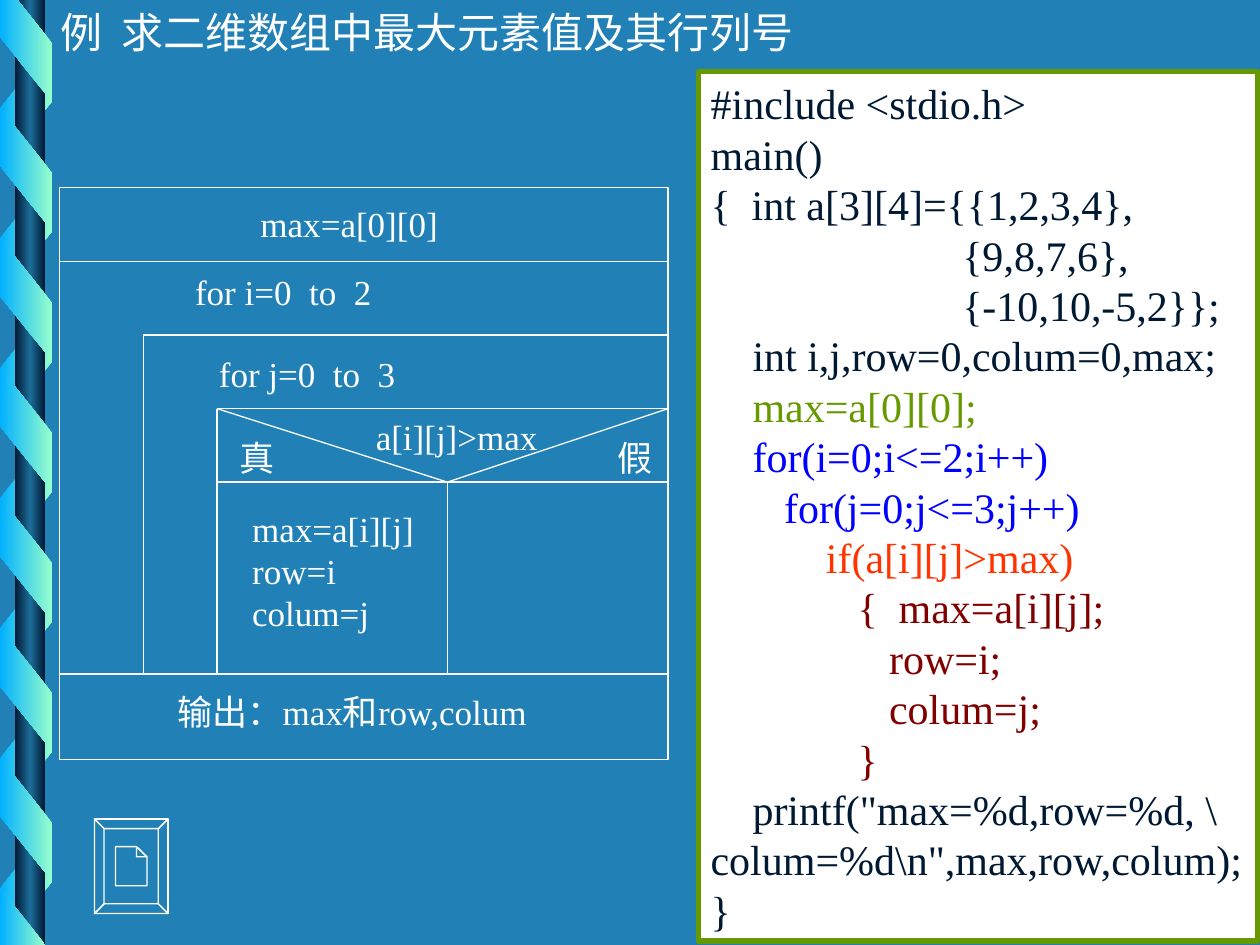
from lxml.etree import SubElement as Sub
from pptx import Presentation
from pptx.dml.color import RGBColor as RGB
from pptx.enum.shapes import MSO_CONNECTOR as Link, MSO_SHAPE as Kind
from pptx.enum.text import MSO_ANCHOR as Anchor, MSO_AUTO_SIZE as Fit, PP_ALIGN as Align
from pptx.oxml.ns import qn
from pptx.util import Pt

HUES = {
    "back": "2181B7", "white": "FFFFFF", "navy": "001932", "mid": "1C6D9A",
    "sky": "01B0FF", "mint": "99FFCC", "green": "669900", "blue": "0000FF",
    "red": "FF3300", "brown": "800000",
}
FACE = "Times New Roman"
TITLE = "例\t求二维数组中最大元素值及其行列号"

CODE = [
    ("navy", "#include <stdio.h>"),
    ("navy", "main()"),
    ("navy", "{  int a[3][4]={{1,2,3,4},"),
    ("navy", "                        {9,8,7,6},"),
    ("navy", "                        {-10,10,-5,2}};"),
    ("navy", "    int i,j,row=0,colum=0,max;"),
    ("green", "    max=a[0][0];"),
    ("blue", "    for(i=0;i<=2;i++)"),
    ("blue", "       for(j=0;j<=3;j++)"),
    ("red", "           if(a[i][j]>max)"),
    ("brown", "\t  {  max=a[i][j];"),
    ("brown", "\t     row=i;"),
    ("brown", "\t     colum=j;"),
    ("brown", "\t  }"),
    ("navy", "    printf(\"max=%d,row=%d, \\"),
    ("navy", "colum=%d\\n\",max,row,colum);"),
    ("navy", "}"),
]

LABELS = [
    (141.8, 112, 122, ["max=a[0][0]"]),
    (104.4, 151, 122, ["for i=0  to  2"]),
    (118, 197.8, 122, ["for j=0  to  3"]),
    (207.7, 233.8, 114, ["a[i][j]>max"]),
    (130, 245.8, 38, ["真"]),
    (346, 245.8, 38, ["假"]),
    (137, 286.3, 114, ["max=a[i][j]", "row=i", "colum=j"]),
    (94.3, 391, 236, ["输出：max和row,colum"]),
]

LEFT, OUTER, INNER, SPLIT, RIGHT = 34, 82, 124, 255.6, 381.8
TOP, INIT, LOOP, TEST, BODY, LAST, END = 107.3, 149.6, 191.5, 233.5, 275.5, 385.2, 434.2
RULES = [
    (LEFT, INIT, RIGHT, INIT), (OUTER, LOOP, RIGHT, LOOP),
    (INNER, TEST, RIGHT, TEST), (INNER, BODY, RIGHT, BODY),
    (OUTER, LOOP, OUTER, LAST), (INNER, TEST, INNER, LAST),
    (SPLIT, BODY, SPLIT, LAST), (LEFT, LAST, RIGHT, LAST),
    (INNER, TEST, SPLIT, BODY), (SPLIT, BODY, RIGHT, TEST),
]

CAP = [(0, 0), (0, 21), (30, 58.5), (30, 25), (10, 0)]
FOOT = [(26, 540), (0, 507.6), (0, 540)]
RIM = [(54, 468), (96, 468), (96, 522), (54, 522)]
PANE = [(59.5, 473.5), (90.5, 473.5), (90.5, 516.5), (59.5, 516.5)]
PAGE = [(66, 483.8), (78, 483.8), (84, 489.6), (84, 506.2), (66, 506.2)]
FOLD = [(78, 483.8), (84, 489.6), (78, 489.6)]
BEVELS = [[RIM[i], RIM[(i + 1) % 4], PANE[(i + 1) % 4], PANE[i]] for i in range(4)]


def hue(name):
    return RGB.from_string(HUES[name])


def paint(shape, fill=None, line=None, width=0.75):
    shape.shadow.inherit = False
    if fill:
        shape.fill.solid()
        shape.fill.fore_color.rgb = hue(fill)
    else:
        shape.fill.background()
    if line:
        shape.line.color.rgb = hue(line)
        shape.line.width = Pt(width)
    else:
        shape.line.fill.background()


def blend(shape, *names):
    paint(shape)
    shape.fill.gradient()
    shape.fill.gradient_angle = 180
    grad = shape._element.spPr.find(qn("a:gradFill"))
    grad.set("rotWithShape", "0")
    stops = grad.find(qn("a:gsLst"))
    for stop in list(stops):
        stops.remove(stop)
    for i, name in enumerate(names):
        stop = Sub(stops, qn("a:gs"), pos=str(100000 * i // (len(names) - 1)))
        Sub(stop, qn("a:srgbClr"), val=HUES[name])


def trace(slide, loops):
    pen = None
    for loop in loops:
        pts = [(Pt(x), Pt(y)) for x, y in loop]
        if pen:
            pen.move_to(*pts[0])
        else:
            pen = slide.shapes.build_freeform(*pts[0])
        pen.add_line_segments(pts[1:], close=True)
    return pen.convert_to_shape()


def write(frame, lines, size, tab=72):
    frame.word_wrap = True
    frame.auto_size = Fit.NONE
    frame.vertical_anchor = Anchor.TOP
    for i, (color, text) in enumerate(lines):
        para = frame.add_paragraph() if i else frame.paragraphs[0]
        para.add_run().text = text
        para.alignment = Align.LEFT
        para.line_spacing = Pt(size * 1.2)
        if "\t" in text:
            tabs = Sub(para._p.get_or_add_pPr(), qn("a:tabLst"))
            Sub(tabs, qn("a:tab"), pos=str(Pt(tab)), algn="l")
        para.font.size = Pt(size)
        para.font.name = FACE
        para.font.color.rgb = hue(color)


def place(shape, x, y, w, h):
    shape.left, shape.top, shape.width, shape.height = Pt(x), Pt(y), Pt(w), Pt(h)


def block(slide, kind, x, y, w, h):
    return slide.shapes.add_shape(kind, Pt(x), Pt(y), Pt(w), Pt(h))


def strip(slide, start, count, turn, flip, names):
    for i in range(count):
        band = block(slide, Kind.PARALLELOGRAM, -20.2, start + 74.3 * i, 70.6, 30)
        band.adjustments[0] = 1.25
        band.rotation = turn
        if flip:
            band._element.spPr.find(qn("a:xfrm")).set("flipH", "1")
        blend(band, *names)


def ribbon(slide):
    strip(slide, 44.6, 7, 90, True, ("sky", "mint"))
    blend(block(slide, Kind.RECTANGLE, 8.6, 0, 17.3, 540), "navy", "mid", "navy")
    strip(slide, 82, 6, 270, False, ("mint", "sky"))
    for loop in (CAP, FOOT):
        blend(trace(slide, [loop]), "mint", "sky")


def chart(slide):
    paint(block(slide, Kind.RECTANGLE, LEFT, TOP, RIGHT - LEFT, END - TOP), line="white")
    for ends in RULES:
        rule = slide.shapes.add_connector(Link.STRAIGHT, *map(Pt, ends))
        rule.line.color.rgb = hue("white")
        rule.line.width = Pt(0.75)
        Sub(rule._element.spPr, qn("a:effectLst"))
    for x, y, w, lines in LABELS:
        box = slide.shapes.add_textbox(Pt(x), Pt(y), Pt(w), Pt(24 * len(lines) + 7.2))
        write(box.text_frame, [("white", text) for text in lines], 20)


def main():
    deck = Presentation()
    deck.slide_width, deck.slide_height = Pt(720), Pt(540)
    slide = deck.slides.add_slide(deck.slide_layouts[5])
    slide.background.fill.solid()
    slide.background.fill.fore_color.rgb = hue("back")
    title = slide.shapes.title
    place(title, 27.4, 0, 444, 36)
    write(title.text_frame, [("white", TITLE)], 24, 35)
    ribbon(slide)
    paint(trace(slide, [RIM, *BEVELS, PAGE, FOLD]), "back", "white")
    chart(slide)
    panel = block(slide, Kind.RECTANGLE, 399, 41, 319.7, 496.8)
    paint(panel, "white", "green", 3)
    write(panel.text_frame, CODE, 24)
    deck.save("out.pptx")


if __name__ == "__main__":
    main()
